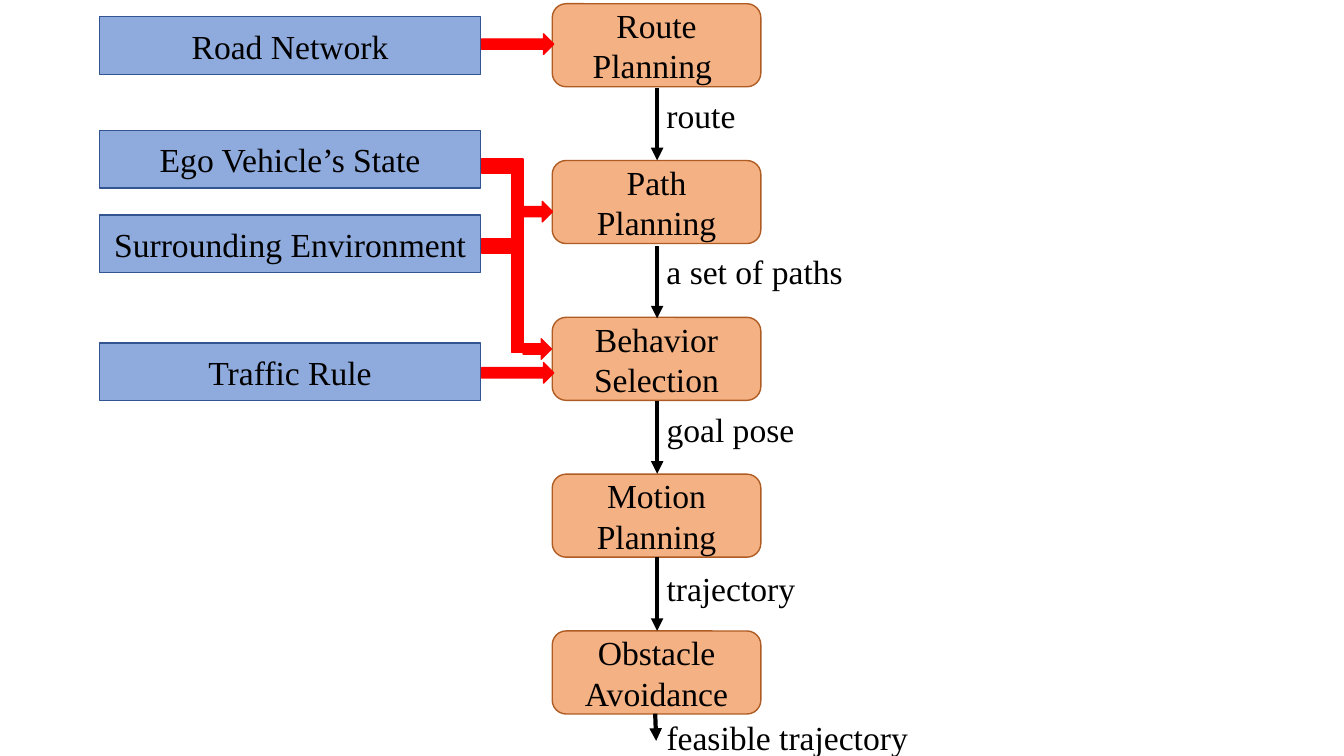
"""Build the slide showing the planning pipeline of an automated vehicle."""
from dataclasses import dataclass

from lxml import etree
from pptx import Presentation
from pptx.dml.color import RGBColor
from pptx.enum.shapes import MSO_CONNECTOR, MSO_SHAPE
from pptx.enum.text import MSO_ANCHOR, MSO_AUTO_SIZE, PP_ALIGN
from pptx.oxml.ns import qn
from pptx.util import Pt

RECT = MSO_SHAPE.RECTANGLE
ROUNDED = MSO_SHAPE.ROUNDED_RECTANGLE
ARROW = MSO_SHAPE.RIGHT_ARROW
STRAIGHT = MSO_CONNECTOR.STRAIGHT
MIDDLE = MSO_ANCHOR.MIDDLE
CENTER, LEFT = PP_ALIGN.CENTER, PP_ALIGN.LEFT
FIT = MSO_AUTO_SIZE.SHAPE_TO_FIT_TEXT

COLORS = {
    "stage": "F4B183", "stage_edge": "AF5C24",
    "input": "8FAADC", "input_edge": "325491",
    "feed": "FF0000", "flow": "000000", "text": "000000",
}
FONT = "Times New Roman"

STAGE_LEFT, STAGE_TOP, STAGE_PITCH = 394.5, 2.7, 112
STAGE_WIDTH, STAGE_HEIGHT = 149, 59.3
INPUT_LEFT, INPUT_WIDTH, INPUT_HEIGHT = 71.2, 272, 41.2
FEED_LEFT = INPUT_LEFT + INPUT_WIDTH + 0.8
LABEL_LEFT, LABEL_HEIGHT = 469, 36


@dataclass(frozen=True)
class Block:
    left: float
    top: float
    width: float
    height: float
    kind: MSO_SHAPE
    role: str
    edge: str
    text: str = ""


@dataclass(frozen=True)
class Flow:
    label: str
    label_top: float
    label_width: float
    start: tuple[float, float]
    end: tuple[float, float]


STAGES = ["Route Planning ", "Path Planning", "Behavior Selection",
          "Motion Planning", "Obstacle Avoidance"]
INPUTS = [("Road Network", 12), ("Ego Vehicle’s State", 93),
          ("Surrounding Environment", 153.5), ("Traffic Rule", 245)]
FEEDS = [
    (FEED_LEFT, 24.2, 51.5, 14.6, ARROW),
    (365.4, 114.2, 8.4, 137.7, RECT),
    (FEED_LEFT, 113.5, 29.5, 10, RECT),
    (FEED_LEFT, 170.7, 29.5, 10, RECT),
    (374.4, 143.9, 20.2, 14.6, ARROW),
    (373.7, 242, 20.2, 14.6, ARROW),
    (FEED_LEFT, 259, 51.5, 14.6, ARROW),
]
FLOWS = [
    Flow("route", 64, 75, (469.4, 62.6), (469.4, 114.5)),
    Flow("a set of paths", 176, 191.5, (469.4, 175.7), (469.4, 227.5)),
    Flow("goal pose", 288.8, 112.5, (469.4, 286.6), (469.4, 338.4)),
    Flow("trajectory", 402, 117.5, (469.4, 398.2), (469.4, 450.7)),
    Flow("feasible trajectory", 508.5, 201, (468, 509.8), (468.7, 529.2)),
]


def write(frame, text: str, *, align=LEFT, size: float = 24, color: str = "text") -> None:
    """Put one formatted run of text in a frame."""
    paragraph = frame.paragraphs[0]
    paragraph.alignment = align
    run = paragraph.add_run()
    run.text = text
    run.font.name = FONT
    run.font.size = Pt(size)
    run.font.color.rgb = RGBColor.from_string(COLORS[color])


def draw_block(slide, block: Block) -> None:
    """Draw a filled shape with centred text, if it has any."""
    shape = slide.shapes.add_shape(
        block.kind, Pt(block.left), Pt(block.top), Pt(block.width), Pt(block.height))
    shape.shadow.inherit = False
    shape.fill.solid()
    shape.fill.fore_color.rgb = RGBColor.from_string(COLORS[block.role])
    shape.line.color.rgb = RGBColor.from_string(COLORS[block.edge])
    shape.line.width = Pt(1)
    if block.text:
        shape.text_frame.word_wrap = True
        shape.text_frame.vertical_anchor = MIDDLE
        write(shape.text_frame, block.text, align=CENTER)


def draw_flow(slide, flow: Flow) -> None:
    """Draw the arrow below a stage and the name of what it passes on."""
    arrow = slide.shapes.add_connector(STRAIGHT, *map(Pt, flow.start + flow.end))
    arrow.line.color.rgb = RGBColor.from_string(COLORS["flow"])
    arrow.line.width = Pt(3)
    etree.SubElement(arrow.line._get_or_add_ln(), qn("a:tailEnd"), type="triangle")
    etree.SubElement(arrow._element.spPr, qn("a:effectLst"))
    label = slide.shapes.add_textbox(
        Pt(LABEL_LEFT), Pt(flow.label_top), Pt(flow.label_width), Pt(LABEL_HEIGHT))
    label.text_frame.word_wrap = True
    label.text_frame.auto_size = FIT
    write(label.text_frame, flow.label)


def main() -> None:
    """Build and save the presentation."""
    deck = Presentation()
    deck.slide_width, deck.slide_height = Pt(960), Pt(540)
    slide = deck.slides.add_slide(deck.slide_layouts[6])
    stages = [Block(STAGE_LEFT, STAGE_TOP + row * STAGE_PITCH, STAGE_WIDTH, STAGE_HEIGHT,
                    ROUNDED, "stage", "stage_edge", name)
              for row, name in enumerate(STAGES)]
    inputs = [Block(INPUT_LEFT, top, INPUT_WIDTH, INPUT_HEIGHT,
                    RECT, "input", "input_edge", name)
              for name, top in INPUTS]
    feeds = [Block(*feed, "feed", "feed") for feed in FEEDS]
    for block in stages + inputs + feeds:
        draw_block(slide, block)
    for flow in FLOWS:
        draw_flow(slide, flow)
    deck.save("out.pptx")


main()
